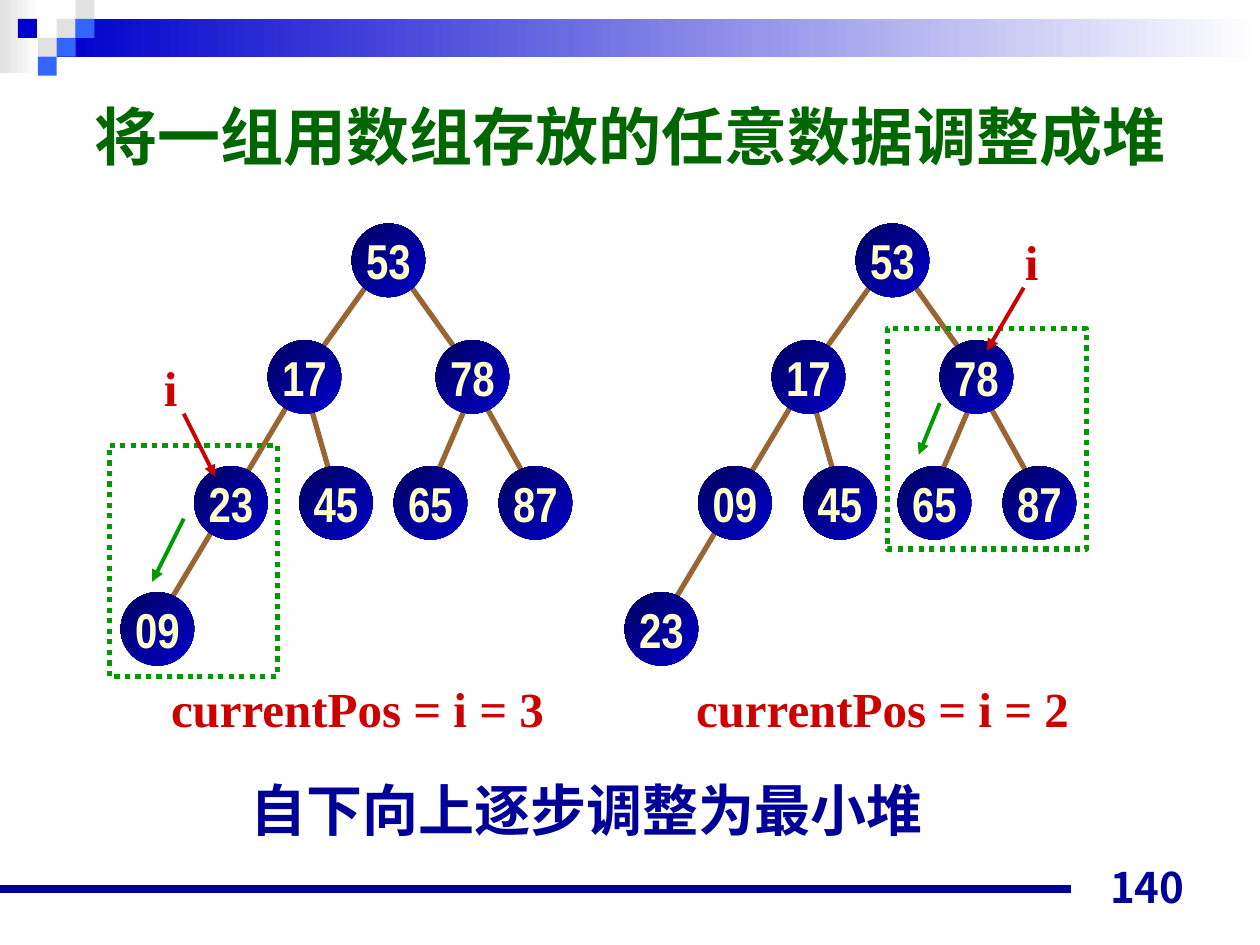
"""Build the slide that turns an array into a min heap, with two tree states."""
from lxml.etree import SubElement
from pptx import Presentation
from pptx.dml.color import RGBColor
from pptx.enum.dml import MSO_LINE
from pptx.enum.shapes import MSO_CONNECTOR, MSO_SHAPE
from pptx.enum.text import MSO_ANCHOR, MSO_AUTO_SIZE, PP_ALIGN
from pptx.oxml.ns import qn
from pptx.util import Inches, Pt

rgb = RGBColor.from_string
NAVY, RED, GREEN, BROWN = "000099", "CC0000", "009900", "996633"
BLUE, SKY, GREY, WHITE = "0000CC", "3366FF", "E1E1E1", "FFFFFF"
LEFT, CENTER, RIGHT = PP_ALIGN.LEFT, PP_ALIGN.CENTER, PP_ALIGN.RIGHT
TOP, MIDDLE, BOTTOM = MSO_ANCHOR.TOP, MSO_ANCHOR.MIDDLE, MSO_ANCHOR.BOTTOM
TIMES = "Times New Roman"

prs = Presentation()
prs.slide_width, prs.slide_height = Inches(10), Inches(7.5)
s = prs.slides.add_slide(prs.slide_layouts[5])
cell = prs.slide_width / 240
square, disc, tree_step = 3.6, 14, 96


def write(tf, text, size, name, color, align=CENTER, anchor=MIDDLE, wrap=False):
    frame = {"word_wrap": wrap, "auto_size": MSO_AUTO_SIZE.NONE, "vertical_anchor": anchor}
    for key, value in frame.items():
        setattr(tf, key, value)
    p = tf.paragraphs[0]
    p.alignment = align
    r = p.add_run()
    r.text = text
    for key, value in {"size": Pt(size), "name": name, "bold": True}.items():
        setattr(r.font, key, value)
    r.font.color.rgb = rgb(color)


def draw_line(ends, color, width, arrow=False):
    line = s.shapes.add_connector(MSO_CONNECTOR.STRAIGHT, *[round(v * cell) for v in ends])
    line.line.color.rgb = rgb(color)
    line.line.width = Pt(width)
    if arrow:
        SubElement(line.line._get_or_add_ln(), qn("a:tailEnd"), type="triangle")
    SubElement(line._element.spPr, qn("a:effectLst"))


title = s.shapes.title
place = {"left": 15.6, "top": 12.5, "width": 216, "height": 26.4}
for key, value in place.items():
    setattr(title, key, round(value * cell))
write(title.text_frame, "将一组用数组存放的任意数据调整成堆", 36, "Arial", "006600", LEFT, wrap=True)

edges = [
    (91, 74.6, 101, 92.6), (89, 76.8, 83, 90.8), (77, 52.8, 87, 66.8),
    (59, 76.8, 63, 90.8), (71, 52.8, 61, 66.8), (55, 76.8, 31, 116.8),
]
node_places = [(67, 42.6), (51, 64.8), (83, 64.8), (37, 88.8),
               (57, 88.8), (75, 88.8), (95, 88.8), (23, 112.8)]
trees = [
    ["53", "17", "78", "23", "45", "65", "87", "09"],
    ["53", "17", "78", "09", "45", "65", "87", "23"],
]
filled = [
    (MSO_SHAPE.RECTANGLE, 0, 0, 7.4, 14, [WHITE, GREY], 180, ""),
    (MSO_SHAPE.RECTANGLE, 10.8, 3.6, 229.2, 7.2, [WHITE, BLUE], 180, ""),
]
squares = [(3, 1, GREY), (4, 0, GREY), (4, 1, SKY), (2, 2, GREY),
           (0.95, 1, BLUE), (3, 2, SKY), (2, 3, SKY)]
for col, row, color in squares:
    filled.append((MSO_SHAPE.RECTANGLE, col * square, row * square, square, square, [color], 0, ""))
for i, keys in enumerate(trees):
    shift = i * tree_step
    for x1, y1, x2, y2 in edges:
        draw_line((x1 + shift, y1, x2 + shift, y2), BROWN, 3)
    for (x, y), key in zip(node_places, keys):
        filled.append((MSO_SHAPE.OVAL, x + shift, y, disc, disc, [BLUE, "00005E"], 135, key))

for kind, x, y, w, h, colors, angle, label in filled:
    sp = s.shapes.add_shape(kind, *[round(v * cell) for v in (x, y, w, h)])
    sp.shadow.inherit = False
    sp.line.fill.background()
    if len(colors) == 1:
        sp.fill.solid()
        sp.fill.fore_color.rgb = rgb(colors[0])
    else:
        sp.fill.gradient()
        sp.fill.gradient_angle = angle
        for stop, color in zip(sp.fill.gradient_stops, colors):
            stop.color.rgb = rgb(color)
    if label:
        write(sp.text_frame, label, 28, "Arial Narrow", "FFFFCC")

for area in [(20.8, 84.8, 32, 44), (169, 62.6, 38, 42)]:
    sp = s.shapes.add_shape(MSO_SHAPE.RECTANGLE, *[round(v * cell) for v in area])
    sp.shadow.inherit = False
    sp.fill.background()
    sp.line.color.rgb = rgb(GREEN)
    sp.line.width = Pt(3)
    sp.line.dash_style = MSO_LINE.ROUND_DOT

arrows = [
    ((35, 78.8, 41, 90.8), RED), ((195, 54.8, 188, 66.8), RED),
    ((35, 98.8, 29, 110.8), GREEN), ((179, 76.8, 175, 86.6), GREEN),
]
for ends, color in arrows:
    draw_line(ends, color, 2.25, arrow=True)
draw_line((0, 169.4, 204, 169.4), NAVY, 4.5)

texts = [
    ((28.8, 66.8, 7.4, 13.6), ("i", 28, TIMES, RED)),
    ((192.8, 42.8, 7.4, 13.6), ("i", 28, TIMES, RED)),
    ((30.2, 128, 75.8, 13.6), ("currentPos = i = 3", 28, TIMES, RED)),
    ((130.2, 128, 75.8, 13.6), ("currentPos = i = 2", 28, TIMES, RED)),
    ((45.4, 146.6, 163, 15.4), ("自下向上逐步调整为最小堆", 32, TIMES, NAVY, LEFT, TOP, True)),
    ((172, 162.8, 56, 12), ("140", 24, "Noto Sans CJK JP", NAVY, RIGHT, BOTTOM, True)),
]
for area, content in texts:
    box = s.shapes.add_textbox(*[round(v * cell) for v in area])
    write(box.text_frame, *content)

prs.save("out.pptx")
